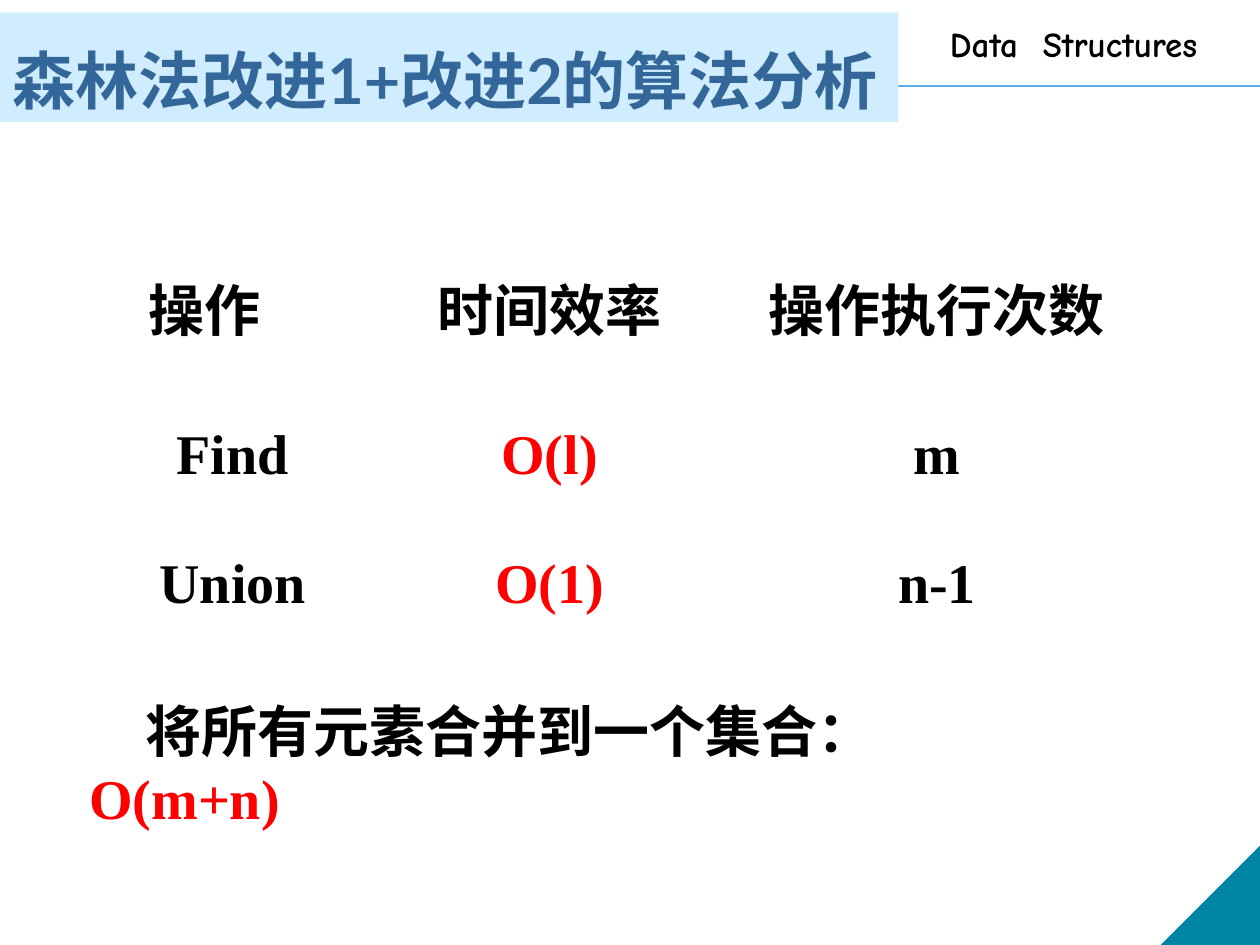
from collections import namedtuple
from dataclasses import dataclass

from lxml import etree
from pptx import Presentation
from pptx import util as u
from pptx.dml.color import RGBColor
from pptx.enum import shapes, text
from pptx.oxml import ns

# Left, top, width and height in centimetres
Box = namedtuple("Box", "left top width height")


@dataclass(frozen=True)
class Theme:
    black: str = "000000"
    red: str = "FF0000"
    white: str = "FFFFFF"
    title: str = "336699"
    band: str = "CFEDFE"
    rule: str = "5AAAED"
    corner: str = "0085A4"
    title_font: str = "Lato"
    label_font: str = "Comic Neue"
    body_font: str = "Times New Roman"
    title_size: int = 36
    body_size: int = 32
    label_size: int = 20


THEME = Theme()
OPERATIONS = [
    ("操作　", "时间效率", "操作执行次数"),
    ("Find", "O(l)", "m"),
    ("Union", "O(1)", "n-1"),
]
COLUMN_WIDTHS = (6.38, 6.4, 9.22)
ROW_HEIGHTS = (3.23, 2.79, 2.39)


def lengths(box):
    return [u.Cm(value) for value in box]


def set_font(font, name, size, color=None):
    font.name, font.size, font.bold = name, u.Pt(size), True
    if color:
        font.color.rgb = RGBColor.from_string(color)


def add_filled(slide, kind, box, color):
    shape = slide.shapes.add_shape(kind, *lengths(box))
    shape.shadow.inherit = False
    shape.fill.solid()
    shape.fill.fore_color.rgb = RGBColor.from_string(color)
    shape.line.fill.background()
    return shape


def add_text(slide, box, runs, name, size, anchor=text.MSO_ANCHOR.TOP):
    """Add one paragraph made of (wording, color) runs."""
    frame = slide.shapes.add_textbox(*lengths(box)).text_frame
    frame.word_wrap = True
    frame.vertical_anchor = anchor
    paragraph = frame.paragraphs[0]
    set_font(paragraph.font, name, size)
    for wording, color in runs:
        run = paragraph.add_run()
        run.text = wording
        set_font(run.font, name, size, color)
    return frame


def add_header(slide, box):
    # Rule across the slide
    rule_top = u.Cm(box.top + 1.73)
    rule = slide.shapes.add_connector(
        shapes.MSO_CONNECTOR.STRAIGHT,
        u.Cm(box.left), rule_top, u.Cm(box.left + box.width), rule_top)
    rule.line.color.rgb = RGBColor.from_string(THEME.rule)
    rule.line.width = u.Pt(1)
    etree.SubElement(rule._element.spPr, ns.qn("a:effectLst"))

    # Course label
    add_text(slide, Box(box.left + 18.9, box.top + 0.33, 6.6, 1.09),
             [("Data  Structures", THEME.black)],
             THEME.label_font, THEME.label_size)

    # Title on its band
    add_filled(slide, shapes.MSO_SHAPE.RECTANGLE,
               Box(box.left, box.top + 0.25, 18.11, 2.21), THEME.band)
    add_text(slide, Box(box.left, box.top + 0.03, 23.5, box.height - 0.03),
             [("森林法改进1+改进2的算法分析", THEME.title)],
             THEME.title_font, THEME.title_size, text.MSO_ANCHOR.BOTTOM)


def add_corner(slide, box):
    corner = add_filled(slide, shapes.MSO_SHAPE.RIGHT_TRIANGLE, box,
                        THEME.corner)
    corner._element.spPr.xfrm.set("flipH", "1")


def set_borders(cell):
    properties = cell._tc.get_or_add_tcPr()
    for position, side in enumerate(("lnL", "lnR", "lnT", "lnB")):
        line = etree.Element(ns.qn(f"a:{side}"), w=str(u.Pt(0.5)))
        fill = etree.SubElement(line, ns.qn("a:solidFill"))
        etree.SubElement(fill, ns.qn("a:srgbClr"), val=THEME.white)
        properties.insert(position, line)


def add_operations(slide, box):
    table = slide.shapes.add_table(
        len(ROW_HEIGHTS), len(COLUMN_WIDTHS), *lengths(box)).table
    table.first_row = table.horz_banding = False
    for column, width in zip(table.columns, COLUMN_WIDTHS):
        column.width = u.Cm(width)
    for row, height in zip(table.rows, ROW_HEIGHTS):
        row.height = u.Cm(height)

    for row_index, wordings in enumerate(OPERATIONS):
        for column_index, wording in enumerate(wordings):
            cell = table.cell(row_index, column_index)
            cell.text = wording
            cell.fill.background()
            cell.vertical_anchor = text.MSO_ANCHOR.MIDDLE
            cell.margin_left = cell.margin_right = u.Cm(0.03)
            cell.margin_top, cell.margin_bottom = u.Cm(0.03), 0
            set_borders(cell)
            paragraph = cell.text_frame.paragraphs[0]
            paragraph.alignment = text.PP_ALIGN.CENTER
            # Time costs below the heading stand out
            is_cost = row_index > 0 and column_index == 1
            set_font(paragraph.font, THEME.body_font, THEME.body_size,
                     THEME.red if is_cost else THEME.black)


def add_conclusion(slide, box):
    frame = add_text(slide, box,
                     [("　将所有元素合并到一个集合：", THEME.black),
                      ("O(m+n)", THEME.red)],
                     THEME.body_font, THEME.body_size)
    # The wide margin puts the total cost on its own line
    frame.margin_right = u.Cm(1.6)


def main():
    presentation = Presentation()
    presentation.slide_width = u.Cm(25.4)
    presentation.slide_height = u.Cm(19.05)
    slide = presentation.slides.add_slide(presentation.slide_layouts[6])

    add_header(slide, Box(0, 0, 25.4, 2.49))
    add_corner(slide, Box(23.4, 17.05, 2, 2))
    add_operations(slide, Box(1.5, 4.55, 22, 8.41))
    add_conclusion(slide, Box(1.55, 13.92, 20.4, 1.63))
    presentation.save("out.pptx")


if __name__ == "__main__":
    main()
